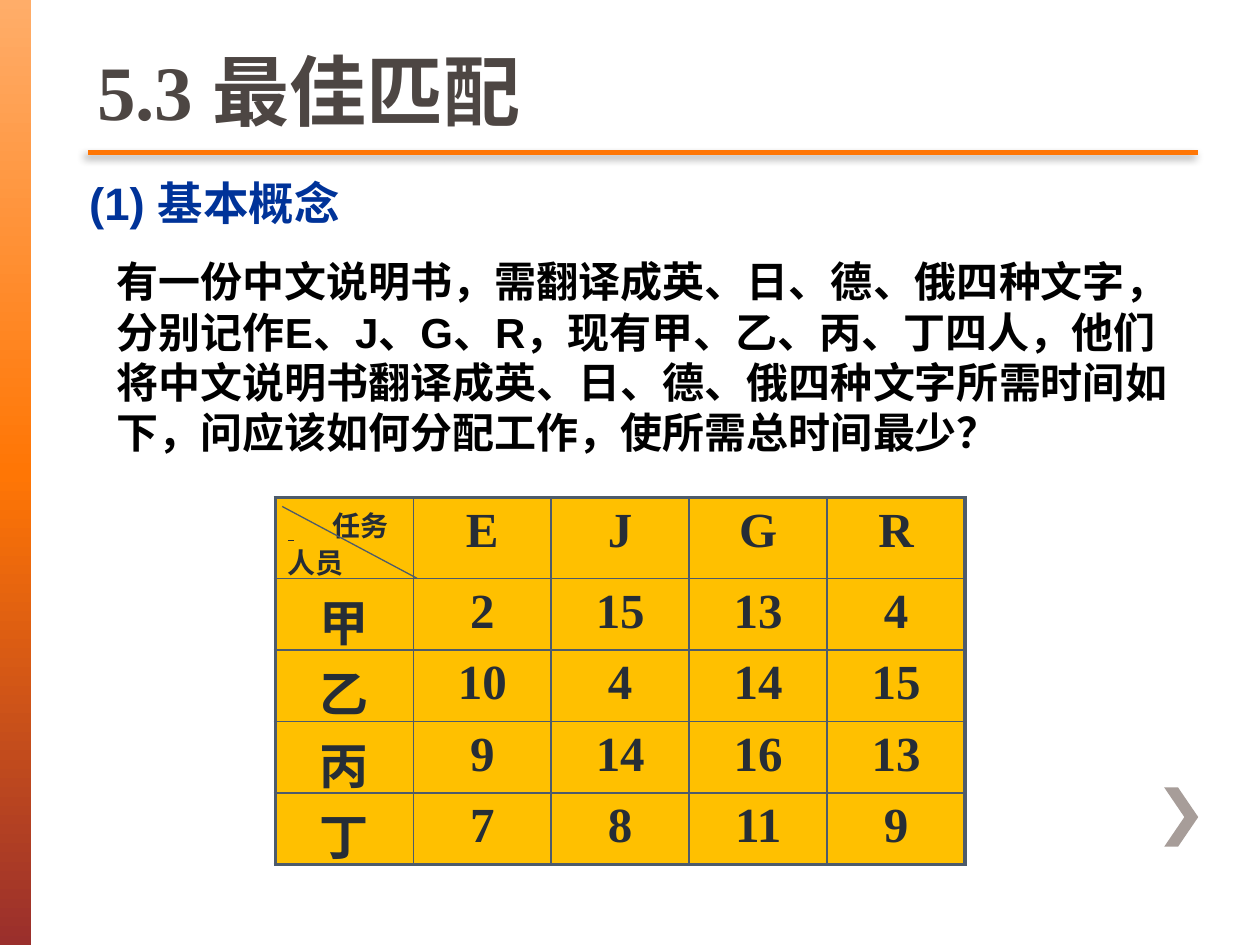
from lxml import etree
from pptx import Presentation
from pptx.dml.color import RGBColor
from pptx.enum.shapes import MSO_CONNECTOR, MSO_SHAPE
from pptx.enum.text import MSO_ANCHOR, MSO_AUTO_SIZE, PP_ALIGN
from pptx.oxml.ns import qn
from pptx.util import Inches, Pt

LINE = MSO_CONNECTOR.STRAIGHT
RECT = MSO_SHAPE.RECTANGLE
BOTTOM = MSO_ANCHOR.BOTTOM
TOP = MSO_ANCHOR.TOP
LEFT = PP_ALIGN.LEFT
CENTER = PP_ALIGN.CENTER
GROW = MSO_AUTO_SIZE.SHAPE_TO_FIT_TEXT
TITLE_ONLY = 5
COLUMNS, ROWS = 40, 30

ORANGE, GOLD, SLATE, INK = "FF7605", "FFC000", "4D5B6B", "262D36"
SERIF, SANS = "Times New Roman", "Arial"


def rgb(value):
    return RGBColor.from_string(value)


def add(parent, tag, **attributes):
    return etree.SubElement(parent, qn(tag), {k: str(v) for k, v in attributes.items()})


def add_color(parent, color):
    return add(parent, "a:srgbClr", val=color)


class Deck:
    def __init__(self):
        self.prs = Presentation()
        self.prs.slide_width, self.prs.slide_height = Inches(10), Inches(7.5)
        self.s = self.prs.slides.add_slide(self.prs.slide_layouts[TITLE_ONLY])

    def x(self, columns):
        return round(self.prs.slide_width * columns / COLUMNS)

    def y(self, rows):
        return round(self.prs.slide_height * rows / ROWS)

    def box(self, left, top, width, height):
        return self.x(left), self.y(top), self.x(width), self.y(height)

    def run(self, p, text, size, color, font, underline=None):
        r = p.add_run()
        r.text = text
        r.font.size, r.font.name, r.font.bold = Pt(size), font, True
        r.font.color.rgb = rgb(color)
        r.font.underline = underline

    def title(self, box, runs, size, color):
        sp = self.s.shapes.title
        sp.left, sp.top, sp.width, sp.height = self.box(*box)
        tf = sp.text_frame
        tf.vertical_anchor = BOTTOM
        tf.paragraphs[0].alignment = LEFT
        for text, font in runs:
            self.run(tf.paragraphs[0], text, size, color, font)

    def text(self, box, text, size, color, spacing=1.0, margin=0, indent=0):
        tf = self.s.shapes.add_textbox(*self.box(*box)).text_frame
        tf.word_wrap, tf.auto_size = True, GROW
        p = tf.paragraphs[0]
        p.line_spacing = spacing
        pPr = p._p.get_or_add_pPr()
        pPr.set("marL", str(self.x(margin)))
        pPr.set("indent", str(self.x(indent)))
        self.run(p, text, size, color, SANS)

    def gradient_bar(self, box, stops):
        sp = self.s.shapes.add_shape(RECT, *self.box(*box))
        sp.shadow.inherit = False
        sp.line.fill.background()
        sp.fill.gradient()
        sp.fill.gradient_angle = 270
        stop_list = sp._element.spPr.find(qn("a:gradFill")).find(qn("a:gsLst"))
        for old in list(stop_list):
            stop_list.remove(old)
        for percent, color in stops:
            add_color(add(stop_list, "a:gs", pos=percent * 1000), color)

    def outline(self, points, color):
        corners = [(self.x(c), self.y(r)) for c, r in points]
        builder = self.s.shapes.build_freeform(*corners[0])
        builder.add_line_segments(corners[1:], close=True)
        sp = builder.convert_to_shape()
        sp.shadow.inherit = False
        sp.fill.solid()
        sp.fill.fore_color.rgb = rgb(color)
        sp.line.fill.background()

    def line(self, start, end, color, width, shadow=False):
        c = self.s.shapes.add_connector(
            LINE, self.x(start[0]), self.y(start[1]), self.x(end[0]), self.y(end[1]))
        c.line.color.rgb, c.line.width = rgb(color), Pt(width)
        effects = add(c._element.spPr, "a:effectLst")
        if shadow:
            outer = add(effects, "a:outerShdw", blurRad=Pt(5), dist=Pt(3),
                        dir=135 * 60000, algn="tl", rotWithShape=0)
            add(add_color(outer, "000000"), "a:alpha", val=45000)

    def borders(self, cell, widths):
        tcPr = cell._tc.get_or_add_tcPr()
        for index, (side, width) in enumerate(widths.items()):
            ln = etree.Element(qn(f"a:ln{side}"), w=str(Pt(width)))
            add_color(add(ln, "a:solidFill"), SLATE)
            tcPr.insert(index, ln)

    def table(self, left, top, column, heights, values):
        rows, columns = len(values), len(values[0])
        table = self.s.shapes.add_table(
            rows, columns, *self.box(left, top, column * columns, sum(heights))).table
        table.first_row = table.horz_banding = False
        for col in table.columns:
            col.width = self.x(column)
        for i, (row, height) in enumerate(zip(values, heights)):
            table.rows[i].height = self.y(height)
            for j, value in enumerate(row):
                cell = table.cell(i, j)
                cell.fill.solid()
                cell.fill.fore_color.rgb = rgb(GOLD)
                cell.vertical_anchor = TOP
                cell.margin_bottom = 0
                edges = {"L": j == 0, "R": j == columns - 1,
                         "T": i == 0, "B": i == rows - 1}
                self.borders(cell, {k: 2.25 if outer else 1 for k, outer in edges.items()})
                if value:
                    p = cell.text_frame.paragraphs[0]
                    p.alignment = CENTER
                    self.run(p, value, 28, INK, SERIF)
        return table

    def corner(self, cell, column_label, row_label, tab):
        tf = cell.text_frame
        p = tf.paragraphs[0]
        tabs = add(p._p.get_or_add_pPr(), "a:tabLst")
        add(tabs, "a:tab", pos=self.x(tab), algn="l")
        self.run(p, " ", 16, INK, SERIF, underline=True)
        self.run(p, "\t" + column_label, 16, INK, SERIF)
        p = tf.add_paragraph()
        p.line_spacing = 0.9
        self.run(p, row_label, 16, INK, SERIF)


def main():
    deck = Deck()
    deck.gradient_bar((0, 0, 1, ROWS), [(0, "FFAD69"), (50, ORANGE), (100, "9A2F2C")])
    deck.outline([(37.4, 25), (36.96, 25), (37.6, 25.94), (36.96, 26.88),
                  (37.4, 26.88), (38.04, 25.94)], "A79D99")
    deck.line((2.8, 4.84), (38.04, 4.84), ORANGE, 2.5, shadow=True)
    deck.title((2.68, 0, 35.24, 4.52), [("5.3 ", SERIF), ("最佳匹配", SANS)], 44, "4D4643")
    deck.text((2.04, 5.56, 21.8, 1.96), "(1) 基本概念", 26, "003399",
              spacing=0.9, margin=1.56, indent=-1.16)
    deck.text((3.32, 7.92, 34.84, 6.88),
              "有一份中文说明书，需翻译成英、日、德、俄四种文字，分别记作E、J、G、R，"
              "现有甲、乙、丙、丁四人，他们将中文说明书翻译成英、日、德、俄四种文字所需时间如下，"
              "问应该如何分配工作，使所需总时间最少？", 24, "000000")
    hours = [["", "E", "J", "G", "R"],
             ["甲", "2", "15", "13", "4"],
             ["乙", "10", "4", "14", "15"],
             ["丙", "9", "14", "16", "13"],
             ["丁", "7", "8", "11", "9"]]
    table = deck.table(8.74, 15.8, 4.38, [2.56] + [2.27] * 4, hours)
    deck.corner(table.cell(0, 0), "任务", "人员", 1.42)
    deck.line((8.96, 16.08), (13.24, 18.36), SLATE, 0.75)
    deck.prs.save("out.pptx")


if __name__ == "__main__":
    main()
